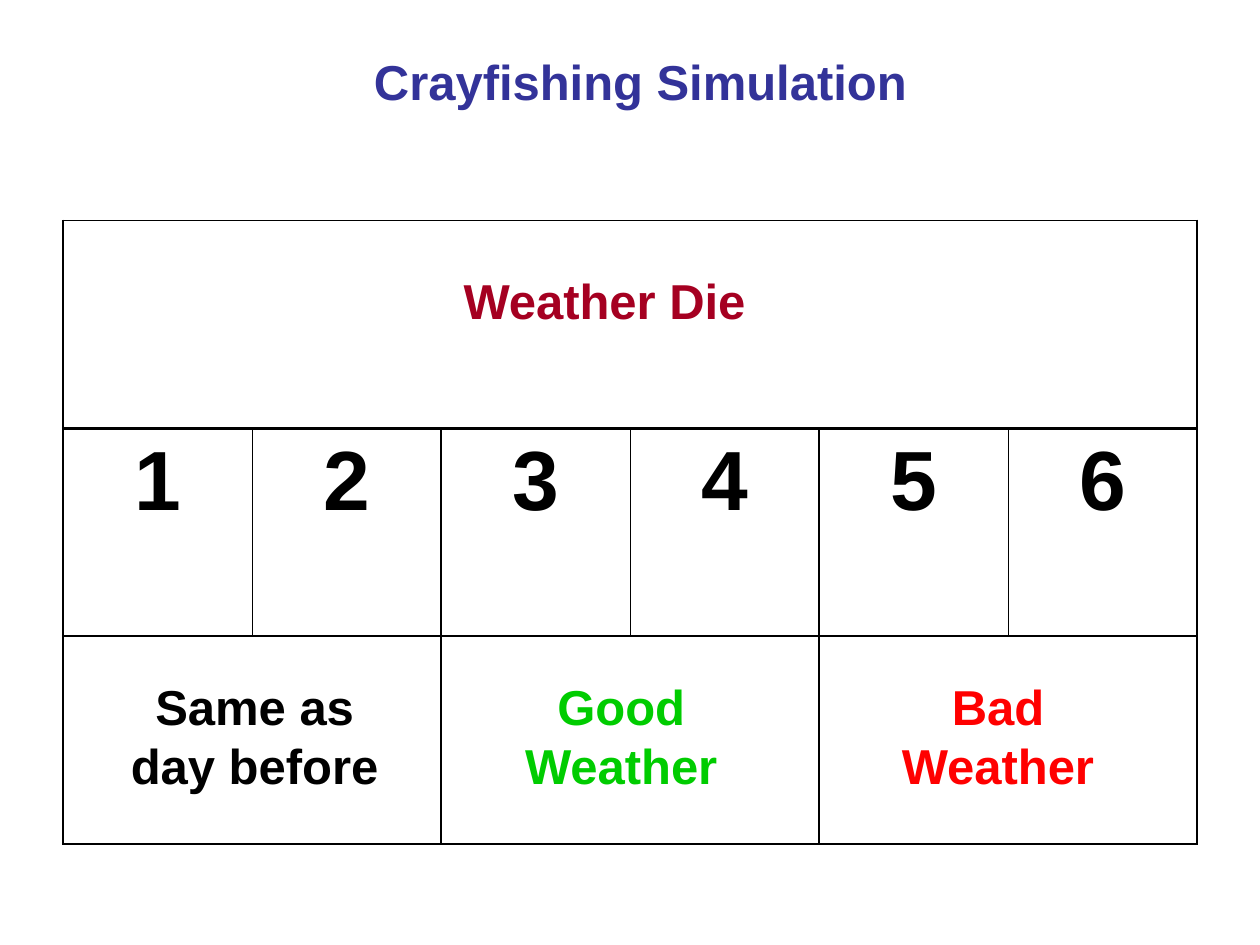
from lxml.etree import SubElement
from pptx import Presentation
from pptx.dml.color import RGBColor
from pptx.enum.text import MSO_AUTO_SIZE as AutoSize, PP_ALIGN as Align
from pptx.oxml.ns import qn
from pptx.util import Pt

HEAVY, MEDIUM, THIN = 1.47, 1.08, 0.45
COLS, ROWS = 6, 3


def rgb(value):
    return RGBColor.from_string(value)


def write(tf, text, size=28, color="000000", align=Align.LEFT):
    p = tf.paragraphs[0]
    p.alignment = align
    r = p.add_run()
    r.text = text
    r.font.name = "Arial"
    r.font.size = Pt(size)
    r.font.bold = True
    r.font.color.rgb = rgb(color)


def add_label(slide, box, text, **fmt):
    tf = slide.shapes.add_textbox(*map(Pt, box)).text_frame
    tf.word_wrap = True
    tf.auto_size = AutoSize.SHAPE_TO_FIT_TEXT
    write(tf, text, **fmt)


def set_borders(cell, widths):
    """Draw left, right, top and bottom borders; a width of 0 means no line."""
    tc_pr = cell._tc.get_or_add_tcPr()
    for index, (side, width) in enumerate(zip("LRTB", widths)):
        ln = tc_pr.makeelement(qn(f"a:ln{side}"), {"w": str(Pt(width))})
        if width:
            fill = SubElement(ln, qn("a:solidFill"))
            SubElement(fill, qn("a:srgbClr"), val="000000")
        else:
            SubElement(ln, qn("a:noFill"))
        tc_pr.insert(index, ln)


def vertical_width(row, edge):
    """Pairs of die faces are split by heavy lines, single faces by thin ones."""
    if row == 0 and 0 < edge < COLS:
        return 0
    if edge % 2:
        return THIN if row == 1 else 0
    return HEAVY


def add_die_table(slide, box):
    table = slide.shapes.add_table(ROWS, COLS, *map(Pt, box)).table
    table.first_row = table.horz_banding = False
    for row in range(ROWS):
        for col in range(COLS):
            cell = table.cell(row, col)
            cell.fill.background()
            set_borders(cell, (vertical_width(row, col),
                               vertical_width(row, col + 1),
                               HEAVY if row else MEDIUM, HEAVY))
            if row == 1:
                write(cell.text_frame, str(col + 1), size=48, align=Align.CENTER)


def add_weather_die(slide, box):
    left, top, width, height = box
    add_die_table(slide, box)
    add_label(slide, (left + 221.8, top + 25.2, 183, 41), "Weather Die",
              color="A50021")
    outcomes = [(18, "Same as day before", "000000"),
                (227.5, "Good Weather", "00CC00"),
                (442.8, "Bad Weather", "FF0000")]
    outcome_top = top + height * 2 / ROWS + 19.4
    for offset, text, color in outcomes:
        add_label(slide, (left + offset, outcome_top, 183, 75), text,
                  color=color, align=Align.CENTER)


def main():
    prs = Presentation()
    prs.slide_width, prs.slide_height = Pt(720), Pt(540)
    s = prs.slides.add_slide(prs.slide_layouts[6])
    add_label(s, (206.6, 25.9, 323.3, 41), "Crayfishing Simulation",
              color="333399")
    add_weather_die(s, (36, 126, 648, 356.4))
    prs.save("out.pptx")


if __name__ == "__main__":
    main()
